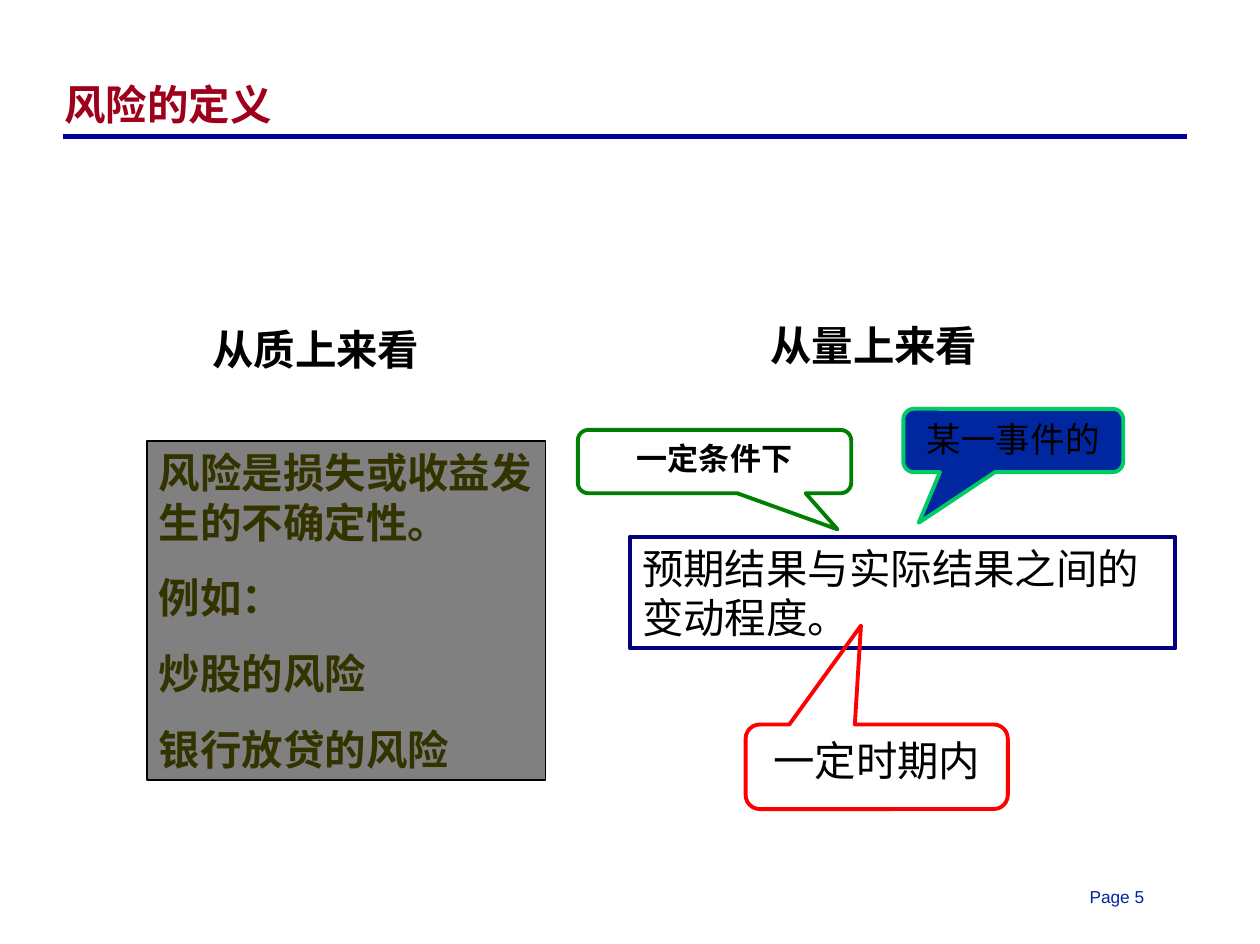
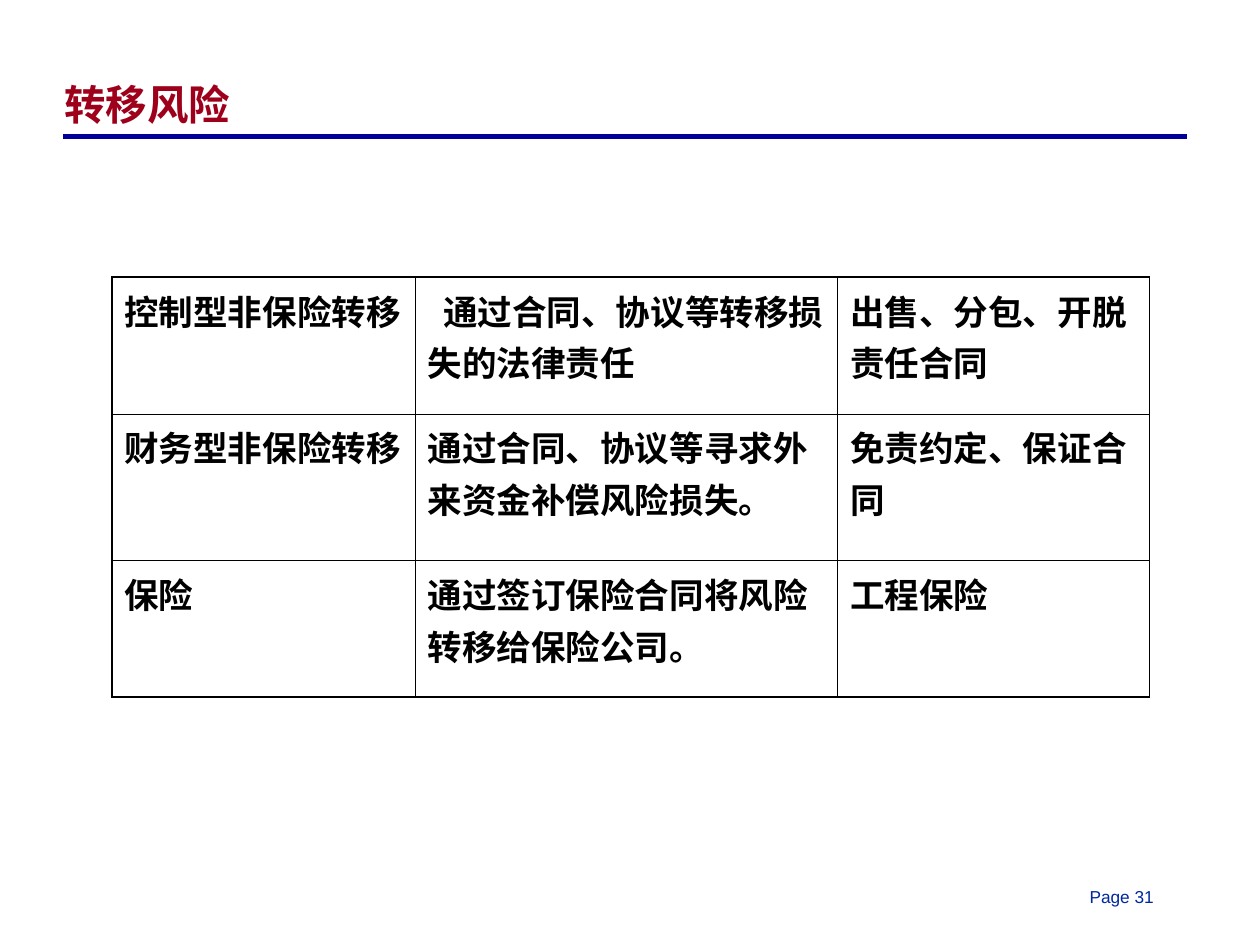
from lxml import etree
from pptx import Presentation
from pptx.dml.color import RGBColor
from pptx.enum.shapes import MSO_CONNECTOR as CONN, MSO_SHAPE as SHAPE
from pptx.enum.text import MSO_ANCHOR as ANCHOR, MSO_AUTO_SIZE as AUTO, PP_ALIGN as ALIGN
from pptx.oxml.ns import qn
from pptx.util import Pt

BLACK = RGBColor(0x00, 0x00, 0x00)
RED = RGBColor(0xFF, 0x00, 0x00)
WINE = RGBColor(0x9E, 0x00, 0x1B)
BLUE = RGBColor(0x00, 0x27, 0x9F)
RULE = RGBColor(0x00, 0x00, 0x99)
NAVY = RGBColor(0x00, 0x00, 0x80)
GREEN = RGBColor(0x00, 0x80, 0x00)
MINT = RGBColor(0x00, 0xCC, 0x66)
GRAY = RGBColor(0x80, 0x80, 0x80)
OLIVE = RGBColor(0x33, 0x33, 0x00)
SANS, SERIF = "Arial", "Times New Roman"


def write(frame, text, size=24, font=SERIF, color=BLACK, bold=False, align=ALIGN.LEFT,
          before=0, after=0, spacing=None, wrap=True, anchor=ANCHOR.TOP):
    """Fill a text frame, one paragraph per line of text."""
    frame.word_wrap = wrap
    frame.vertical_anchor = anchor
    for i, line in enumerate(text.split("\n")):
        para = frame.add_paragraph() if i else frame.paragraphs[0]
        para.alignment = align
        para.space_before, para.space_after = Pt(before), Pt(after)
        para.line_spacing = spacing
        run = para.add_run()
        run.text = line
        run.font.size, run.font.name = Pt(size), font
        run.font.bold, run.font.color.rgb = bold, color


def add_box(slide, kind, place, fill, edge, width):
    """Add an outlined shape, unfilled when fill is None."""
    box = slide.shapes.add_shape(kind, *map(Pt, place))
    box.shadow.inherit = False
    if fill is None:
        box.fill.background()
    else:
        box.fill.solid()
        box.fill.fore_color.rgb = fill
    box.line.color.rgb, box.line.width = edge, Pt(width)
    return box


deck = Presentation()
deck.slide_width, deck.slide_height = Pt(730), Pt(547)

# Shared title, rule and page number
slides = []
for name, page in (("风险的定义", 5), ("转移风险", 31)):
    slide = deck.slides.add_slide(deck.slide_layouts[5])
    slides.append(slide)
    rule = slide.shapes.add_connector(CONN.STRAIGHT, Pt(36.7), Pt(79.2), Pt(687.6), Pt(79.2))
    rule.line.color.rgb, rule.line.width = RULE, Pt(3)
    etree.SubElement(rule.element.spPr, qn("a:effectLst"))
    foot = slide.shapes.add_textbox(Pt(624.2), Pt(509.8), Pt(54), Pt(19.4))
    write(foot.text_frame, f"Page {page}", size=10, font=SANS, color=BLUE)
    title = slide.shapes.title
    title.left, title.top, title.width, title.height = Pt(30.2), Pt(23.8), Pt(651), Pt(54.7)
    title.text_frame.auto_size = AUTO.NONE
    write(title.text_frame, name, font=SANS, color=WINE, bold=True,
          spacing=0.87, anchor=ANCHOR.BOTTOM)
define, transfer = slides

# Definition of risk: quality on the left, quantity on the right
for text, left, top in (("从质上来看", 115.9, 184.3), ("从量上来看", 439.2, 182.2)):
    head = define.shapes.add_textbox(Pt(left), Pt(top), Pt(134.6), Pt(36))
    write(head.text_frame, text, bold=True, wrap=False)

nature = add_box(define, SHAPE.RECTANGLE, (85, 255.6, 231, 196.6), GRAY, BLACK, 1)
write(nature.text_frame, "风险是损失或收益发生的不确定性。\n例如：\n炒股的风险\n银行放贷的风险",
      color=OLIVE, bold=True, before=15)
degree = add_box(define, SHAPE.RECTANGLE, (365, 311, 316, 64.8), None, NAVY, 2.25)
write(degree.text_frame, "预期结果与实际结果之间的变动程度。", before=15)

callouts = (
    ("某一事件的", (523.4, 236.9, 127.4, 36.7), (-0.43, 1.3), BLUE, MINT, 20, False),
    ("一定条件下", (334.8, 249.1, 158.4, 36.7), (0.45, 1.07), None, GREEN, 18, True),
    ("一定时期内", (432, 419.8, 151.9, 49), (-0.06, -1.67), None, RED, 24, False),
)
for text, place, tip, fill, edge, size, bold in callouts:
    bubble = add_box(define, SHAPE.ROUNDED_RECTANGULAR_CALLOUT, place, fill, edge, 2.25)
    bubble.adjustments[0], bubble.adjustments[1] = tip
    write(bubble.text_frame, text, size=size, bold=bold, align=ALIGN.CENTER)

# Ways to transfer risk
rows = (
    ("控制型非保险转移", "通过合同、协议等转移损失的法律责任", "出售、分包、开脱责任合同"),
    ("财务型非保险转移", "通过合同、协议等寻求外来资金补偿风险损失。", "免责约定、保证合同"),
    ("保险", "通过签订保险合同将风险转移给保险公司。", "工程保险"),
)
widths, heights = (175.7, 244.8, 180.7), (79.2, 85, 79.2)
table = transfer.shapes.add_table(3, 3, Pt(64.8), Pt(160.6), Pt(sum(widths)),
                                  Pt(sum(heights))).table
table.first_row = table.horz_banding = False
for i in range(3):
    table.columns[i].width, table.rows[i].height = Pt(widths[i]), Pt(heights[i])
for r, row in enumerate(rows):
    for c, text in enumerate(row):
        cell = table.cell(r, c)
        cell.margin_left = cell.margin_right = Pt(7.2)
        cell.margin_top = cell.margin_bottom = Pt(3.6)
        write(cell.text_frame, text, size=20, font=SANS, bold=True,
              before=12, after=4, spacing=Pt(30))
        props = cell._tc.get_or_add_tcPr()
        outer = {"lnL": c == 0, "lnR": c == 2, "lnT": r == 0, "lnB": r == 2}
        for side, thick in outer.items():
            edge = etree.SubElement(props, qn(f"a:{side}"), w=str(Pt(1.08 if thick else 0.45)))
            paint = etree.SubElement(edge, qn("a:solidFill"))
            etree.SubElement(paint, qn("a:srgbClr"), val=str(BLACK))
        cell.fill.background()
first = table.cell(0, 1).text_frame.paragraphs[0]
first._p.get_or_add_pPr().set("indent", str(Pt(9)))

deck.save("out.pptx")
